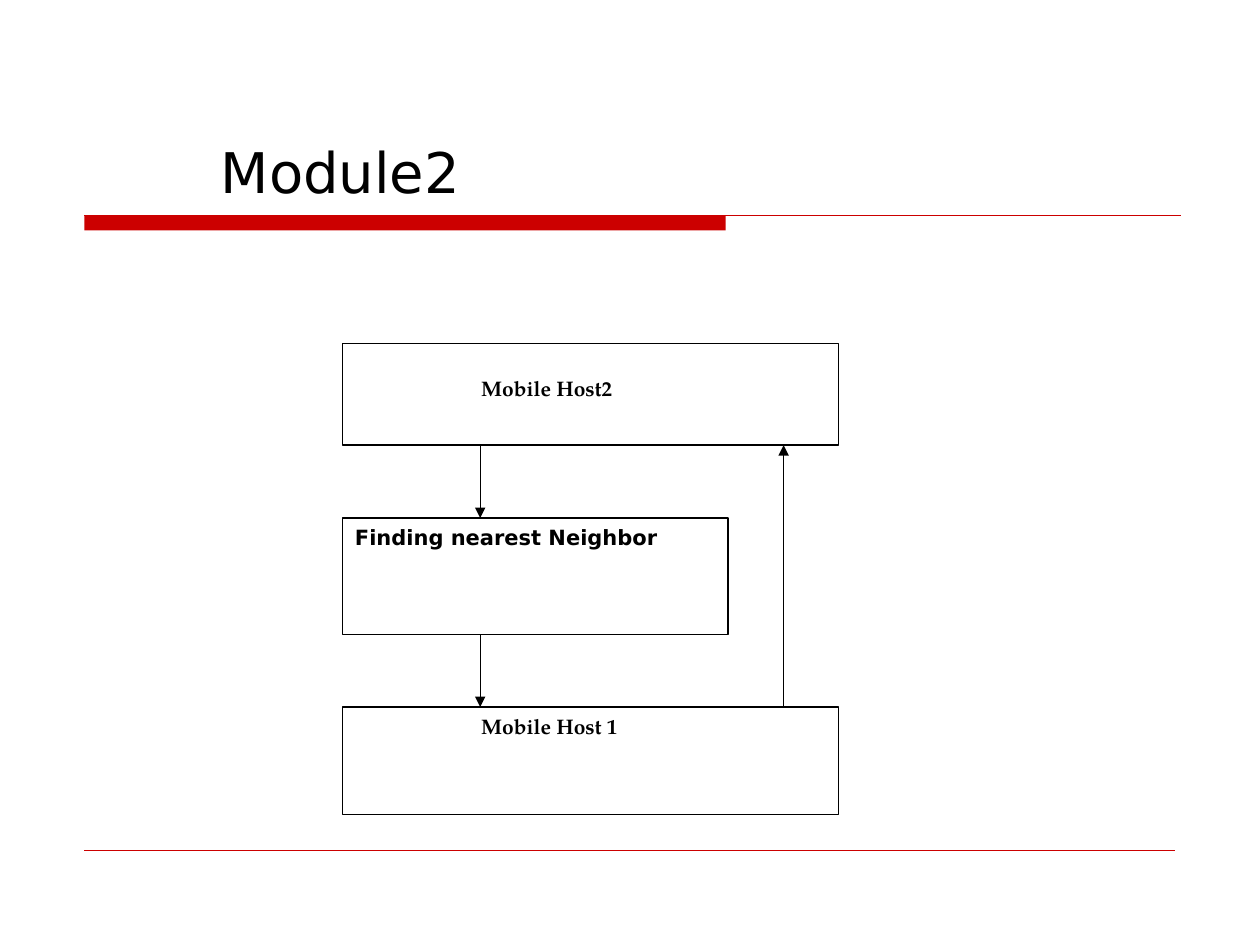
from pptx import Presentation
from pptx.dml.color import RGBColor
from pptx.enum.shapes import MSO_CONNECTOR, MSO_SHAPE
from pptx.enum.text import MSO_ANCHOR, PP_ALIGN
from pptx.oxml.ns import qn
from pptx.util import Pt
from lxml.etree import SubElement

COLORS = {"red": "CC0000", "black": "000000", "white": "FFFFFF"}
SANS, SERIF = "DejaVu Sans", "TeX Gyre Pagella"


def color(name):
    return RGBColor.from_string(COLORS[name])


def write(shape, text, font=SANS, size=12, bold=False, indent=0, drop=0,
          align=PP_ALIGN.LEFT, anchor=MSO_ANCHOR.TOP):
    """Fill a shape with one paragraph, moved in by indent and down by drop."""
    frame = shape.text_frame
    frame.word_wrap = True
    frame.vertical_anchor = anchor
    frame.margin_left, frame.margin_right = Pt(7.2 + indent), Pt(7.2)
    frame.margin_top, frame.margin_bottom = Pt(3.6 + drop), Pt(3.6)
    par = frame.paragraphs[0]
    par.alignment = align
    run = par.add_run()
    run.text = text
    run.font.name, run.font.size, run.font.bold = font, Pt(size), bold
    run.font.color.rgb = color("black")


def add_box(slide, left, top, width, height, fill="white", line="black"):
    box = slide.shapes.add_shape(MSO_SHAPE.RECTANGLE, Pt(left), Pt(top),
                                 Pt(width), Pt(height))
    box.shadow.inherit = False
    box.fill.solid()
    box.fill.fore_color.rgb = color(fill)
    if line:
        box.line.color.rgb = color(line)
        box.line.width = Pt(0.75)
    else:
        box.line.fill.background()
    return box


def add_line(slide, x1, y1, x2, y2, tint="black", weight=0.75, arrow=False):
    line = slide.shapes.add_connector(MSO_CONNECTOR.STRAIGHT, Pt(x1), Pt(y1),
                                      Pt(x2), Pt(y2))
    line.line.color.rgb = color(tint)
    line.line.width = Pt(weight)
    if arrow:
        SubElement(line.line._get_or_add_ln(), qn("a:tailEnd"), type="triangle")
    SubElement(line._element.spPr, qn("a:effectLst"))


def add_rules(slide, left, top, width, height):
    """Red bar and rule under the title, thin rule at the foot."""
    add_box(slide, left, top, 366.5, 8.6, fill="red", line=None)
    add_line(slide, left, top, left + width, top, tint="red")
    foot = top + height
    add_line(slide, left, foot, left + width - 2.9, foot, tint="red", weight=0.25)


def add_title(slide, left, top, width, height):
    box = slide.shapes.add_textbox(Pt(left), Pt(top), Pt(width), Pt(height))
    write(box, "Module2", size=32, indent=48.3, anchor=MSO_ANCHOR.BOTTOM)


def add_flow(slide, left, top, width, height):
    """Three stacked boxes, with arrows down and one arrow back up."""
    gap, tall, mid, low = 41.6, 58, 66.6, 61.4
    step = top + tall + gap
    base = top + height - low
    host = {"font": SERIF, "bold": True, "indent": 72, "align": PP_ALIGN.JUSTIFY}

    write(add_box(slide, left, top, width, tall), "Mobile Host2", drop=14.6, **host)
    write(add_box(slide, left, step, 220.3, mid), "Finding nearest Neighbor", bold=True)
    write(add_box(slide, left, base, width, low), "Mobile Host 1", **host)

    down, back = left + 78.6, left + 252
    add_line(slide, down, top + tall, down, step, arrow=True)
    add_line(slide, down, step + mid, down, base, arrow=True)
    add_line(slide, back, base, back, top + tall, arrow=True)


def main():
    deck = Presentation()
    deck.slide_width, deck.slide_height = Pt(720), Pt(540)
    slide = deck.slides.add_slide(deck.slide_layouts[6])
    add_rules(slide, 48.2, 123.1, 626.4, 362.9)
    add_title(slide, 70.6, 24.5, 630, 95.8)
    add_flow(slide, 195.8, 196.4, 283.4, 269)
    deck.save("out.pptx")


if __name__ == "__main__":
    main()
